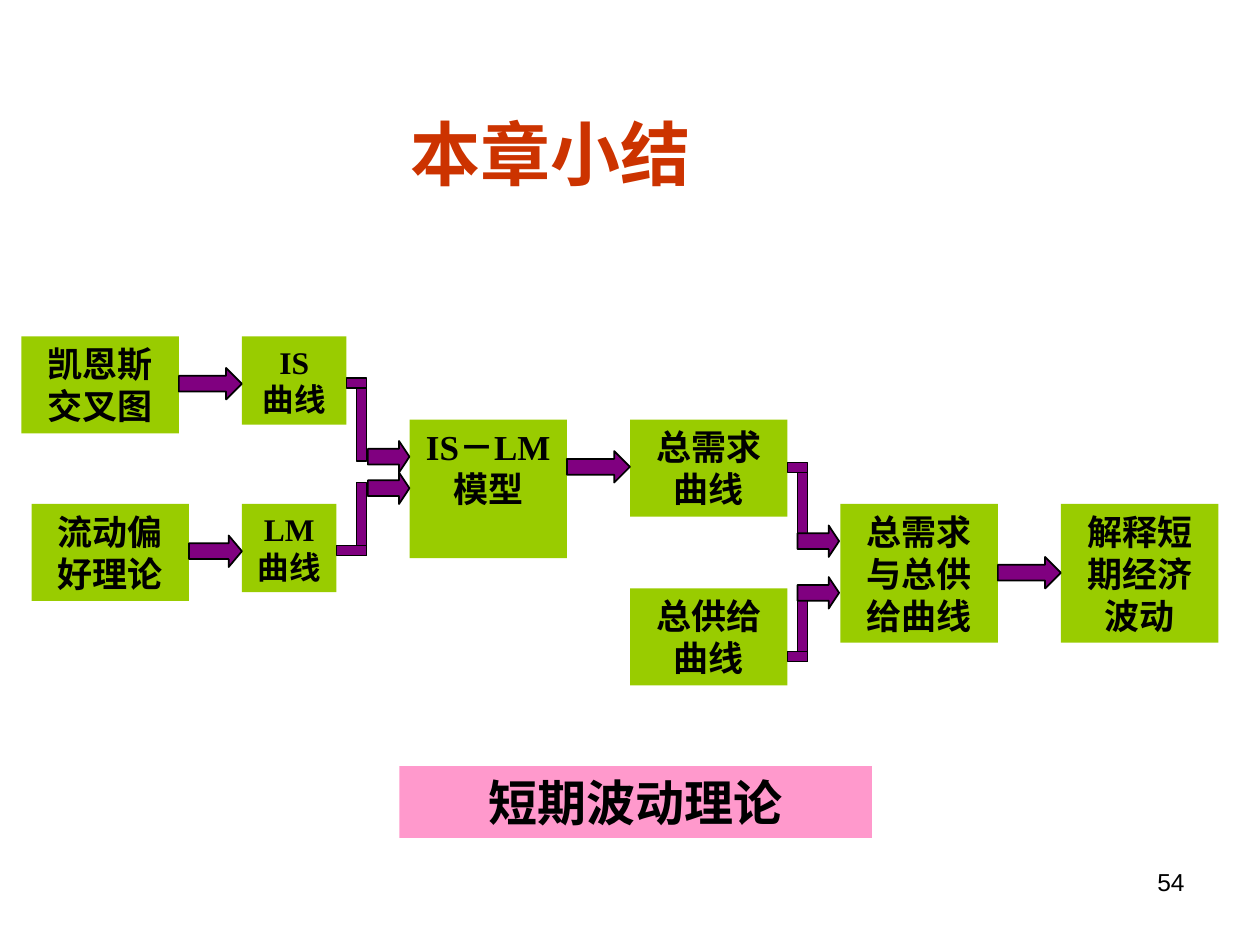
import pptx
import pptx.util
import pptx.dml.color
import pptx.enum.shapes
import pptx.enum.text

Inches = pptx.util.Inches
RGBColor = pptx.dml.color.RGBColor
Shapes = pptx.enum.shapes.MSO_SHAPE
Align = pptx.enum.text.PP_ALIGN

BLACK = RGBColor(0x00, 0x00, 0x00)
GREEN = RGBColor(0x99, 0xCC, 0x00)
PURPLE = RGBColor(0x80, 0x00, 0x80)
PINK = RGBColor(0xFF, 0x99, 0xCC)
RED = RGBColor(0xCC, 0x33, 0x00)

BAR = 0.08      # thickness of the elbow bars
ARROW = 0.25    # height of every arrow

# Concept boxes: text, left, top, width, height, font size
CONCEPTS = [
    ("凯恩斯交叉图", 0.17, 2.67, 1.25, 0.77, 20),
    ("流动偏好理论", 0.25, 4, 1.25, 0.77, 20),
    ("IS\v曲线", 1.92, 2.67, 0.83, 0.7, 18),
    ("LM曲线", 1.92, 4, 0.75, 0.7, 18),
    ("IS－LM模型", 3.25, 3.33, 1.25, 1.1, 20),
    ("总需求曲线", 5, 3.33, 1.25, 0.77, 20),
    ("总供给曲线", 5, 4.67, 1.25, 0.77, 20),
    ("总需求与总供给曲线", 6.67, 4, 1.25, 1.1, 20),
    ("解释短期经济波动", 8.42, 4, 1.25, 1.1, 20),
]

# Straight arrows: left, top, width
ARROWS = [(1.42, 2.92, 0.5), (1.5, 4.25, 0.42), (4.5, 3.58, 0.5), (7.92, 4.42, 0.5)]

# Elbows: bar left, bar top, riser left, riser top, arrow left, arrow top
ELBOWS = [
    (2.75, 3, 2.83, 3.08, 2.92, 3.5),
    (2.67, 4.33, 2.83, 3.83, 2.92, 3.75),
    (6.25, 3.67, 6.33, 3.75, 6.33, 4.17),
    (6.25, 5.17, 6.33, 4.67, 6.33, 4.58),
]


def write_text(box, text, size, color, font, bold=True, align=Align.CENTER):
    frame = box.text_frame
    frame.word_wrap = True
    frame.vertical_anchor = pptx.enum.text.MSO_ANCHOR.TOP
    frame.text = text
    para = frame.paragraphs[0]
    para.alignment = align
    for span in para.runs:
        span.font.name = font
        span.font.size = pptx.util.Pt(size)
        span.font.bold = bold
        span.font.color.rgb = color


def add_block(page, kind, left, top, width, height, fill, outlined=False):
    block = page.shapes.add_shape(
        kind, Inches(left), Inches(top), Inches(width), Inches(height))
    block.shadow.inherit = False
    block.fill.solid()
    block.fill.fore_color.rgb = fill
    if outlined:
        block.line.color.rgb = BLACK
        block.line.width = pptx.util.Pt(1)
    else:
        block.line.fill.background()
    return block


def add_label(page, text, left, top, width, height, size, fill=GREEN):
    box = add_block(page, Shapes.RECTANGLE, left, top, width, height, fill)
    write_text(box, text, size, BLACK, "Times New Roman")


def add_arrow(page, left, top, width):
    arrow = add_block(page, Shapes.RIGHT_ARROW, left, top, width, ARROW, PURPLE, True)
    # The head takes a quarter of the arrow's length
    arrow.adjustments[1] = width / 4 / ARROW


def add_elbow(page, bar_left, bar_top, riser_left, riser_top, arrow_left, arrow_top):
    add_block(page, Shapes.RECTANGLE, riser_left, riser_top, BAR, 0.58, PURPLE, True)
    bar_width = riser_left + BAR - bar_left
    add_block(page, Shapes.RECTANGLE, bar_left, bar_top, bar_width, BAR, PURPLE, True)
    add_arrow(page, arrow_left, arrow_top, 0.33)


def set_title(page, text):
    title = page.shapes.title
    title.left, title.top = Inches(2.33), Inches(0.83)
    title.width, title.height = Inches(4.08), Inches(0.77)
    write_text(title, text, 40, RED, "Arial")


def add_page_number(page, number):
    box = page.shapes.add_textbox(Inches(7.17), Inches(6.83), Inches(2.33), Inches(0.52))
    write_text(box, number, 14, BLACK, "Arial", bold=False, align=Align.RIGHT)


def main():
    deck = pptx.Presentation()
    deck.slide_width, deck.slide_height = Inches(10), Inches(7.5)
    page = deck.slides.add_slide(deck.slide_layouts[5])
    set_title(page, "本章小结")

    # Flow from the basic models to short-run fluctuations
    for concept in CONCEPTS:
        add_label(page, *concept)
    for arrow in ARROWS:
        add_arrow(page, *arrow)
    for elbow in ELBOWS:
        add_elbow(page, *elbow)

    # Conclusion and page number
    add_label(page, "短期波动理论", 3.17, 6.08, 3.75, 0.57, 28, PINK)
    add_page_number(page, "54")
    deck.save("out.pptx")


if __name__ == "__main__":
    main()
